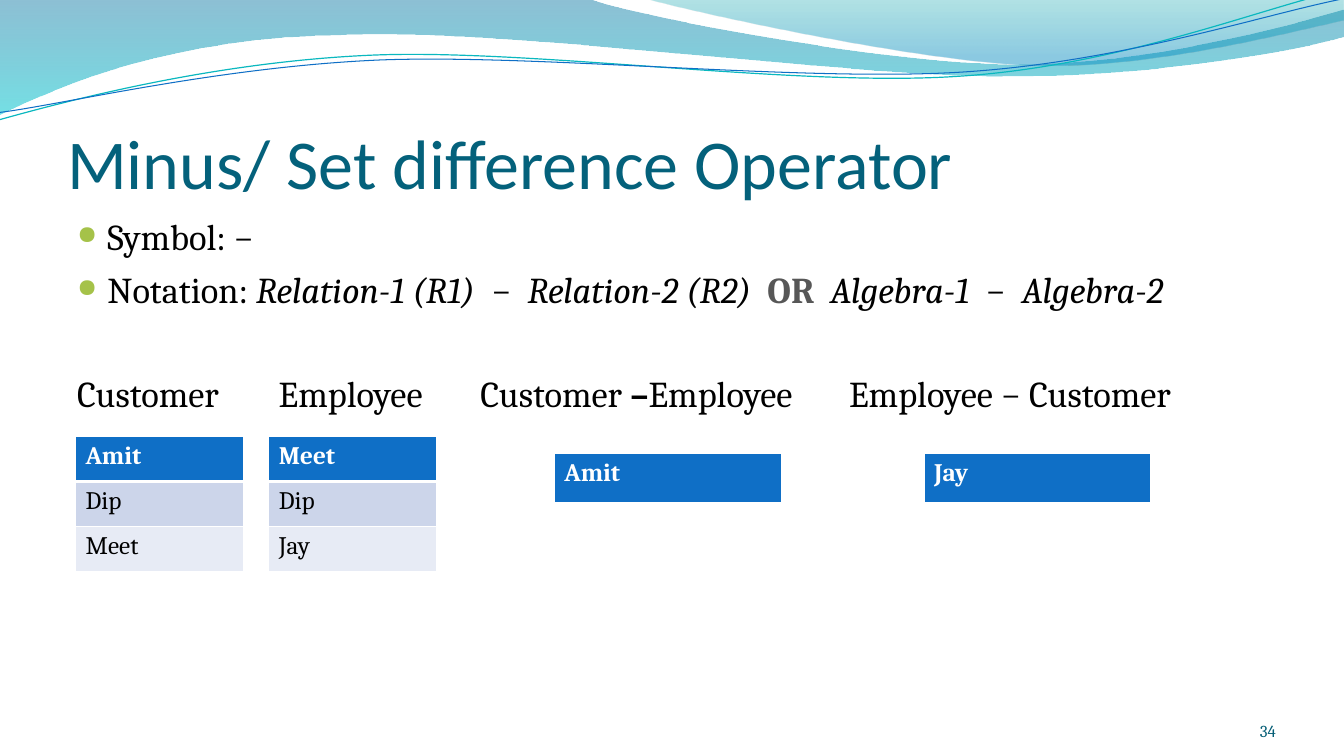
from lxml import etree
from pptx import Presentation, util as u
from pptx.dml.color import RGBColor
from pptx.enum import text as t
from pptx.oxml import ns

GRID = u.Inches(1) // 12
COLUMNS, ROWS = 160, 90
MARGIN, CONTENT_WIDTH = 8, 144
RIPPLE_TILT = 357.3

WHITE = RGBColor(0xFF, 0xFF, 0xFF)
BLACK = RGBColor(0, 0, 0)
GRAY = RGBColor(0x57, 0x57, 0x57)
TITLE_TEAL = RGBColor(0x04, 0x61, 0x7B)
NUMBER_TEAL = RGBColor(0x04, 0x5D, 0x75)
BULLET_GREEN = RGBColor(0xA5, 0xC2, 0x49)
BLUE = RGBColor(0x0F, 0x6F, 0xC6)
CYAN = RGBColor(0x0A, 0xB8, 0xBF)
ROW_DARK = RGBColor(0xCC, 0xD5, 0xEA)
ROW_LIGHT = RGBColor(0xE7, 0xEB, 0xF5)
DEEP_WATER = RGBColor(0x00, 0x74, 0xA1)
SHALLOW_WATER = RGBColor(0x00, 0xC6, 0xCF)
FOAM_TOP = RGBColor(0x00, 0xA1, 0xA9)
FOAM_BOTTOM = RGBColor(0x00, 0x8B, 0xBF)

BAND = [(0, 0), (70.4, -0.1),
        (76.1, 2, 106.1, 7.6, 121.3, 7.6), (136.4, 7.6, 153.2, 3.1, 160, 1.1),
        (160.1, 4.3), (157.3, 5.3, 139.1, 9.1, 119.3, 9),
        (99.5, 9, 61.1, 3.4, 41.2, 4.1), (20.6, 4.3, 7.3, 10, -0.1, 13.6)]
CREST = [(76.7, -0.1), (81.5, 1.3, 109.1, 7.4, 123, 7.8),
         (136.8, 8.3, 153.8, 3.8, 160, 2.5), (160, 0)]
CYAN_RIPPLE = [(-0.4, 10.5), (7.5, 8.7, 25.3, 4.8, 44.4, 4.9),
               (63.3, 5, 94.5, 11.1, 113.9, 10.7), (133.1, 10.4, 150.3, 4.3, 160, 2.6)]
BLUE_RIPPLE = [(-0.2, 9.6), (7.4, 9, 26.2, 5.4, 45.4, 5.5),
               (64.5, 5.7, 95.4, 10.5, 114.5, 10.2), (133.6, 9.9, 150.8, 5, 160.3, 3.6)]

RELATIONS = [
    (9, 52, 20, 16 / 3, ["Amit", "Dip", "Meet"]),
    (32, 52, 20, 16 / 3, ["Meet", "Dip", "Jay"]),
    (66, 54, 27, 6, ["Amit"]),
    (110, 54, 27, 6, ["Jay"]),
]


def grid(*lengths):
    """Convert grid units to EMU."""
    return [round(length * GRID) for length in lengths]


def child(parent, tag, **attributes):
    """Append a DrawingML element with the given attributes."""
    return etree.SubElement(parent, ns.qn(tag), attributes)


def add_wave(slide, outline, close):
    """Draw line ends and cubic curve triples as a freeform without shadow."""
    start, *segments = outline
    points = [grid(*segment[i:i + 2]) for segment in segments
              for i in range(0, len(segment), 2)]
    builder = slide.shapes.build_freeform(*grid(*start))
    builder.add_line_segments(points, close=close)
    wave = builder.convert_to_shape()
    wave.shadow.inherit = False
    steps = iter(list(wave._element.iter(ns.qn("a:lnTo"))))
    for segment in segments:
        first = next(steps)
        if len(segment) == 6:
            curve = etree.Element(ns.qn("a:cubicBezTo"))
            first.addprevious(curve)
            for step in (first, next(steps), next(steps)):
                curve.append(step[0])
                step.getparent().remove(step)
    return wave


def add_water(slide, outline, stops):
    """Draw a closed wave with a see-through vertical gradient."""
    water = add_wave(slide, outline, True)
    water.line.fill.background()
    water.fill.gradient()
    water.fill.gradient_angle = 270
    for stop, (position, color, _) in zip(water.fill.gradient_stops, stops):
        stop.position = position
        stop.color.rgb = color
    for srgb, (_, _, opacity) in zip(water._element.spPr.iter(ns.qn("a:srgbClr")), stops):
        child(srgb, "a:alpha", val=str(opacity * 1000))


def add_ripple(slide, outline, color, width):
    """Draw an open, tilted wave line."""
    ripple = add_wave(slide, outline, False)
    ripple.rotation = RIPPLE_TILT
    ripple.fill.background()
    ripple.line.color.rgb = color
    ripple.line.width = u.Pt(width)


def write(paragraph, words, size=26, color=BLACK, bold=False, italic=False, face="Cambria"):
    """Add a formatted run of text."""
    run = paragraph.add_run()
    run.text = words
    font = run.font
    font.name, font.size, font.bold, font.italic = face, u.Pt(size), bold, italic
    font.color.rgb = color


def add_box(slide, left, top, width, height, anchor, insets):
    """Add a wrapping text box and return its text frame."""
    frame = slide.shapes.add_textbox(*grid(left, top, width, height)).text_frame
    frame.word_wrap = True
    frame.vertical_anchor = anchor
    (frame.margin_left, frame.margin_top,
     frame.margin_right, frame.margin_bottom) = grid(*insets)
    return frame


def make_bullet(paragraph):
    """Give a paragraph a green bullet and hanging indent."""
    paragraph.alignment = t.PP_ALIGN.JUSTIFY
    paragraph.line_spacing = 0.9
    properties = paragraph._p.get_or_add_pPr()
    indent = u.Inches(0.3)
    properties.set("marL", str(indent))
    properties.set("indent", str(-indent))
    child(child(properties, "a:buClr"), "a:srgbClr", val=str(BULLET_GREEN))
    child(properties, "a:buSzPct", val="70000")
    child(properties, "a:buChar", char="●")


def set_tabs(paragraph, stops):
    """Set left tab stops in grid units."""
    tabs = child(paragraph._p.get_or_add_pPr(), "a:tabLst")
    for stop in grid(*stops):
        child(tabs, "a:tab", pos=str(stop), algn="l")


def add_body(slide):
    """Write the symbol, the notation and the table headings."""
    frame = add_box(slide, MARGIN, 25.44, CONTENT_WIDTH, 57.6,
                    t.MSO_ANCHOR.TOP, (1.2, 0.6, 1.2, 0.6))
    symbol, notation, headings = (
        frame.paragraphs[0], frame.add_paragraph(), frame.add_paragraph())

    make_bullet(symbol)
    write(symbol, "Symbol: −")

    make_bullet(notation)
    notation.space_before = u.Pt(10)
    write(notation, "Notation: ")
    write(notation, "Relation-1 (R1)  ", italic=True)
    write(notation, "−  ")
    write(notation, "Relation-2 (R2)  ", italic=True)
    write(notation, "OR", color=GRAY, bold=True)
    write(notation, "  Algebra-1  ", italic=True)
    write(notation, "−")
    write(notation, "  Algebra-2", italic=True)

    set_tabs(headings, (24, 48, 91.9))
    headings.space_before = u.Pt(43)
    write(headings, "Customer\tEmployee\tCustomer")
    write(headings, " –", bold=True)
    write(headings, "Employee\tEmployee − Customer")


def add_relation(slide, left, top, width, row_height, names):
    """Add a one-column table whose first row is its header."""
    relation = slide.shapes.add_table(
        len(names), 1, *grid(left, top, width, row_height * len(names))).table
    for index, name in enumerate(names):
        header = index == 0
        cell = relation.cell(index, 0)
        cell.fill.solid()
        cell.fill.fore_color.rgb = (BLUE, ROW_DARK, ROW_LIGHT)[index]
        write(cell.text_frame.paragraphs[0], name, size=18, bold=header,
              color=WHITE if header else BLACK)
        edges = {"L": 1, "R": 1, "T": 3 if index == 1 else 1, "B": 3 if header else 1}
        properties = cell._tc.get_or_add_tcPr()
        for place, (side, width_pt) in enumerate(edges.items()):
            border = child(properties, f"a:ln{side}", w=str(u.Pt(width_pt)))
            child(child(border, "a:solidFill"), "a:srgbClr", val=str(WHITE))
            properties.insert(place, border)


def main():
    """Build the set difference slide."""
    deck = Presentation()
    deck.slide_width, deck.slide_height = grid(COLUMNS, ROWS)
    slide = deck.slides.add_slide(deck.slide_layouts[6])

    add_water(slide, BAND, [(0, DEEP_WATER, 45), (1, SHALLOW_WATER, 55)])
    add_water(slide, CREST, [(0, FOAM_TOP, 30), (0.8, FOAM_BOTTOM, 45)])
    add_ripple(slide, CYAN_RIPPLE, CYAN, 0.85)
    add_ripple(slide, BLUE_RIPPLE, BLUE, 0.75)

    title = add_box(slide, MARGIN, 9.24, CONTENT_WIDTH, 15, t.MSO_ANCHOR.BOTTOM, (0, 0.6, 0, 0))
    write(title.paragraphs[0], "Minus/ Set difference Operator",
          size=50, color=TITLE_TEAL, face="Calibri")
    add_body(slide)
    for relation in RELATIONS:
        add_relation(slide, *relation)

    number = add_box(slide, 138.6, 83.4, 13.3, 4.8, t.MSO_ANCHOR.BOTTOM, (0, 0, 0, 0))
    number.paragraphs[0].alignment = t.PP_ALIGN.RIGHT
    write(number.paragraphs[0], "34", size=12, color=NUMBER_TEAL)
    deck.save("out.pptx")


if __name__ == "__main__":
    main()
